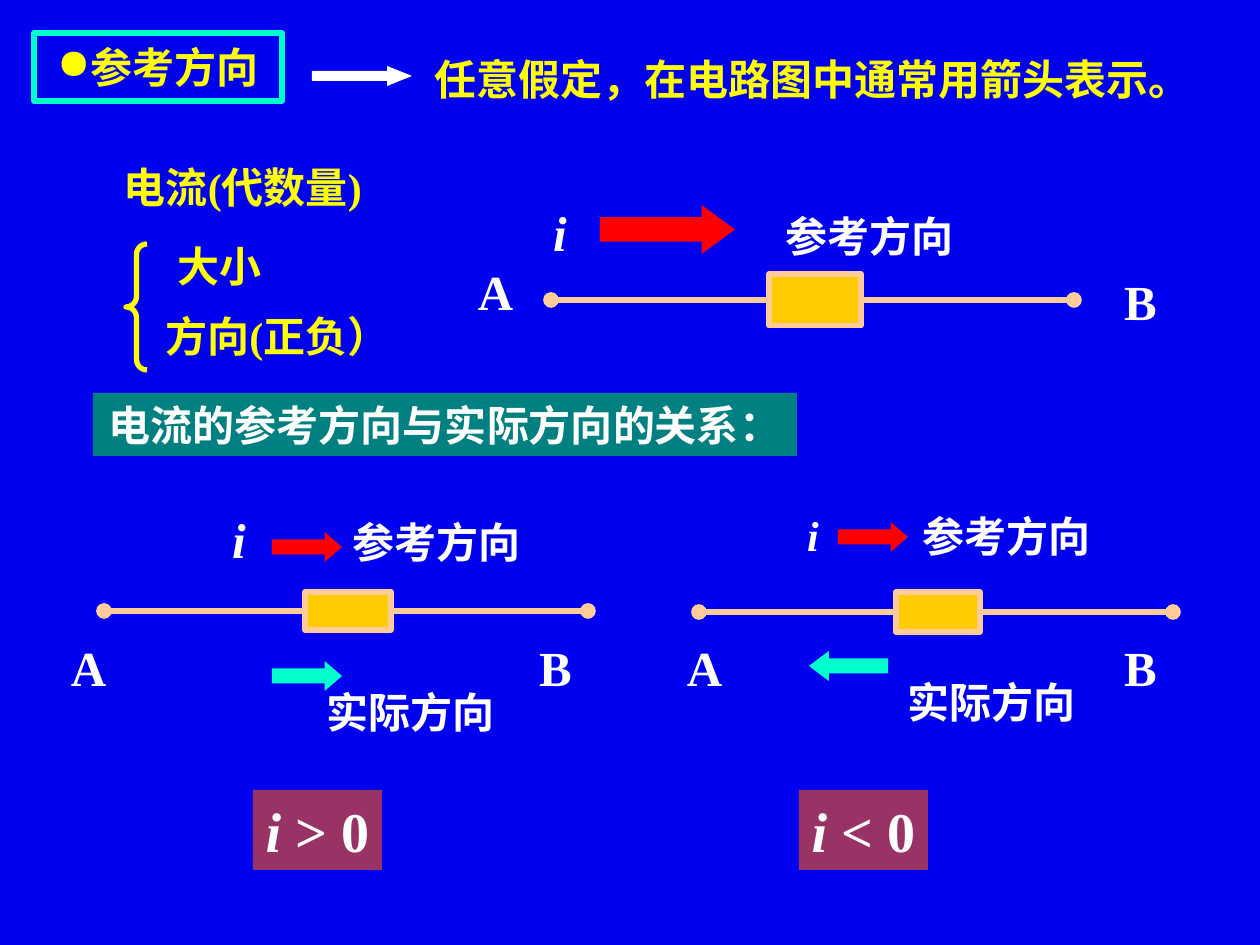
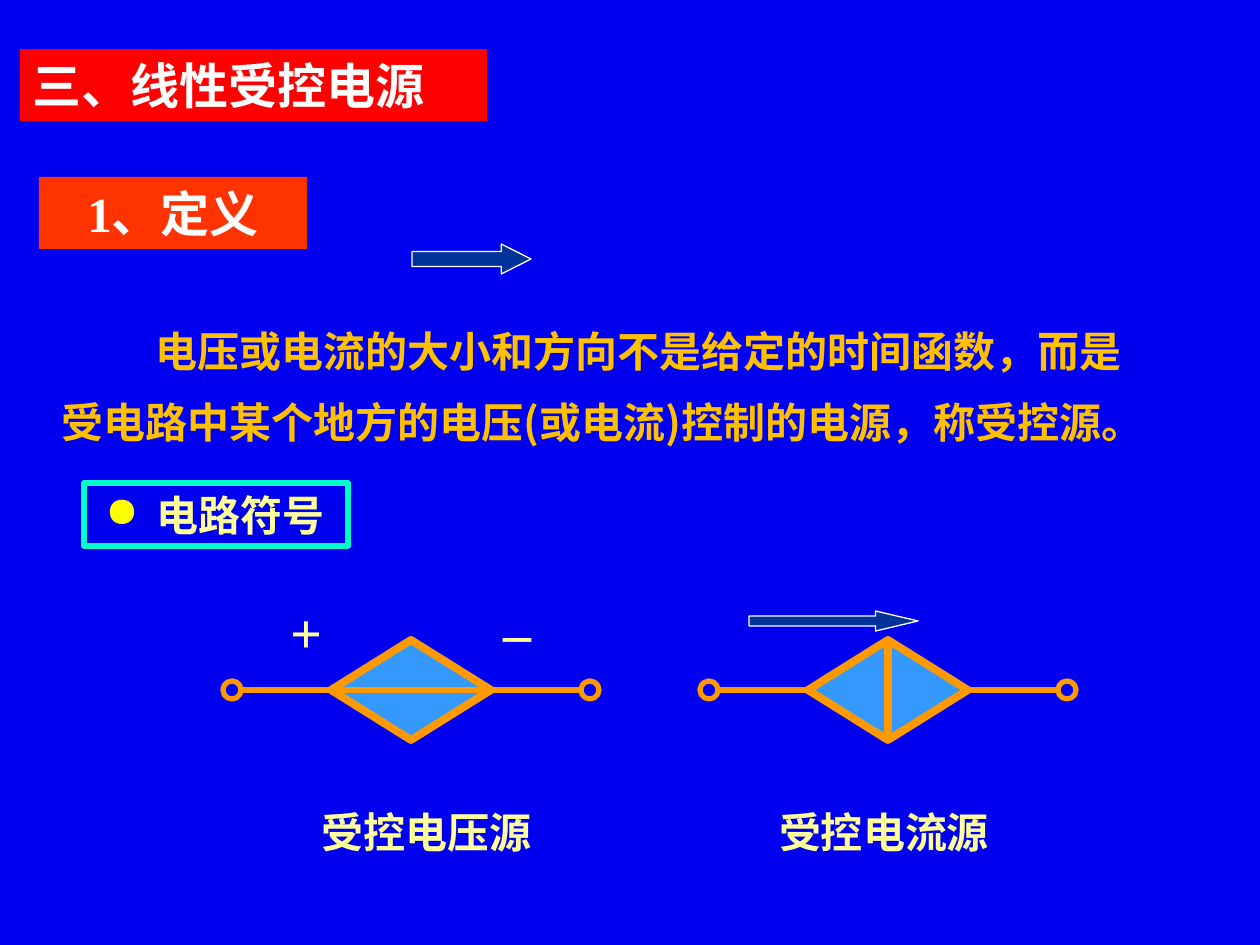
"""Build two slides on current reference directions and controlled sources."""
from dataclasses import dataclass
from typing import NamedTuple

from lxml.etree import SubElement
from pptx import Presentation
from pptx.dml.color import RGBColor
from pptx.enum.shapes import MSO_CONNECTOR as Link, MSO_SHAPE as Form
from pptx.enum.text import MSO_ANCHOR as Anchor, MSO_AUTO_SIZE as AutoSize, PP_ALIGN as Align
from pptx.oxml.ns import qn
from pptx.util import Emu, Pt

EMU_PER_PX = 914400 / 126
LATIN, CJK = "Times New Roman", "Noto Sans CJK SC"
COLORS = {
    "background": "0000F1", "white": "FFFFFF", "yellow": "FFFF00", "cream": "FFFF99",
    "aqua": "00FFCC", "red": "FF0000", "vermilion": "FF3300", "teal": "008080",
    "plum": "993366", "gold": "FFCC00", "peach": "FFCC99", "amber": "FFC000",
    "orange": "FF9900", "sky": "3399FF", "navy": "003399",
}


class Box(NamedTuple):
    """Left, top, width and height in px."""
    x: int
    y: int
    w: int
    h: int


@dataclass(frozen=True)
class Label:
    """A text with its frame; the italic part comes before the upright text."""
    text: str
    box: Box
    size: int = 24
    color: str = "white"
    italic: str = ""
    fill: str | None = None
    border: str | None = None
    align: Align = Align.CENTER
    anchor: Anchor = Anchor.MIDDLE
    wrap: bool = True
    bullet: bool = False
    margin: int = 0
    indent: int = 0
    latin: str = LATIN


@dataclass(frozen=True)
class Arrow:
    """A block arrow with its head length relative to its height."""
    box: Box
    head: float
    fill: str
    form: Form = Form.RIGHT_ARROW
    outline: str | None = None


@dataclass(frozen=True)
class Circuit:
    """A resistor whose leads end in dots at two x positions."""
    resistor: Box
    start_x: int
    end_x: int


def px(length: float) -> Emu:
    """Turn px into EMU."""
    return Emu(round(length * EMU_PER_PX))


def rgb(name: str) -> RGBColor:
    """Look up a colour by name."""
    return RGBColor.from_string(COLORS[name])


def paint(shape, fill: str | None, border: str | None, width: float = 3) -> None:
    """Set or clear the fill and the line of a shape."""
    if fill:
        shape.fill.solid()
        shape.fill.fore_color.rgb = rgb(fill)
    else:
        shape.fill.background()
    if border:
        shape.line.color.rgb = rgb(border)
        shape.line.width = Pt(width)
    else:
        shape.line.fill.background()


def add_form(slide, form: Form, box: Box, fill: str | None = None,
             border: str | None = None, width: float = 3):
    """Draw a preset shape without shadow."""
    shape = slide.shapes.add_shape(form, *map(px, box))
    shape.shadow.inherit = False
    paint(shape, fill, border, width)
    return shape


def add_wire(slide, start: tuple[int, int], end: tuple[int, int], color: str, width: float = 3):
    """Draw a straight connector without shadow."""
    wire = slide.shapes.add_connector(Link.STRAIGHT, *map(px, start + end))
    wire.line.color.rgb = rgb(color)
    wire.line.width = Pt(width)
    SubElement(wire._element.spPr, qn("a:effectLst"))
    return wire


def add_bullet(paragraph) -> None:
    """Give a paragraph a yellow round bullet."""
    properties = paragraph._p.get_or_add_pPr()
    tint = SubElement(properties, qn("a:buClr"))
    SubElement(tint, qn("a:srgbClr")).set("val", COLORS["yellow"])
    SubElement(properties, qn("a:buChar")).set("char", "●")


def format_run(run, label: Label, italic: bool) -> None:
    """Apply the label's font to a run."""
    font = run.font
    font.size, font.bold, font.italic = Pt(label.size), True, italic
    font.color.rgb = rgb(label.color)
    font.name = label.latin
    SubElement(run._r.get_or_add_rPr(), qn("a:ea")).set("typeface", CJK)


def write(shape, label: Label) -> None:
    """Put a label's text into a shape and format it."""
    frame = shape.text_frame
    frame.text = label.italic or label.text
    if label.italic and label.text:
        frame.paragraphs[0].add_run().text = label.text
    frame.word_wrap = label.wrap
    frame.auto_size = AutoSize.NONE
    frame.vertical_anchor = label.anchor
    for index, paragraph in enumerate(frame.paragraphs):
        paragraph.alignment = label.align
        paragraph.space_before = Pt(12 if index else 0)
        if label.margin or label.indent:
            properties = paragraph._p.get_or_add_pPr()
            properties.set("marL", str(px(label.margin)))
            properties.set("indent", str(px(0 if index else label.indent)))
        if label.bullet:
            add_bullet(paragraph)
        for order, run in enumerate(paragraph.runs):
            format_run(run, label, bool(label.italic) and order == 0)


def add_label(slide, label: Label) -> None:
    """Draw a label as a text box, or as a rectangle when it is painted."""
    if label.fill or label.border:
        shape = add_form(slide, Form.RECTANGLE, label.box, label.fill, label.border)
    else:
        shape = slide.shapes.add_textbox(*map(px, label.box))
    write(shape, label)


def add_titled_slide(deck, label: Label):
    """Add a title-only slide and place its title."""
    slide = deck.slides.add_slide(deck.slide_layouts[5])
    title = slide.shapes.title
    title.left, title.top, title.width, title.height = map(px, label.box)
    paint(title, label.fill, label.border)
    write(title, label)
    return slide


def add_arrow(slide, arrow: Arrow) -> None:
    """Draw a block arrow."""
    shape = add_form(slide, arrow.form, arrow.box, arrow.fill, arrow.outline, 0.75)
    shape.adjustments[0], shape.adjustments[1] = 0.5, arrow.head


def add_circuit(slide, circuit: Circuit) -> None:
    """Draw a resistor with a dotted lead on each side."""
    box = circuit.resistor
    resistor = add_form(slide, Form.RECTANGLE, box, "gold", "peach")
    level = box.y + box.h // 2
    for side, edge, terminal in ((1, box.x, circuit.start_x), (3, box.x + box.w, circuit.end_x)):
        lead = add_wire(slide, (edge, level), (terminal, level), "peach")
        lead.begin_connect(resistor, side)
        SubElement(lead.line._get_or_add_ln(), qn("a:tailEnd")).set("type", "oval")


def add_source(slide, center: int, is_voltage: bool) -> None:
    """Draw the diamond symbol of a controlled source."""
    level, reach, ring = 690, 170, 18
    ends = (center - reach, level), (center + reach, level)
    diamond_box = Box(center - 80, level - 50, 160, 100)
    if is_voltage:
        add_form(slide, Form.DIAMOND, diamond_box, "sky", "orange", 4.5)
        add_wire(slide, *ends, "orange")
    else:
        add_wire(slide, *ends, "orange")
        diamond = add_form(slide, Form.DIAMOND, diamond_box, "sky", "orange", 4.5)
        bar = add_wire(slide, (center, level - 50), (center, level + 50), "orange", 4.5)
        bar.begin_connect(diamond, 0)
        bar.end_connect(diamond, 2)
    for left in (center - reach - ring, center + reach):
        add_form(slide, Form.OVAL, Box(left, level - ring // 2, ring, ring), None, "orange")


def build_reference_direction(deck) -> None:
    """Build the slide on the reference direction of a current."""
    slide = add_titled_slide(deck, Label(
        "参考方向", Box(34, 33, 248, 68), color="yellow", border="aqua", bullet=True))
    brace = add_form(slide, Form.LEFT_BRACE, Box(126, 244, 21, 126), None, "yellow")
    brace.adjustments[0] = brace.adjustments[1] = 0.5
    circuits = (
        Circuit(Box(769, 274, 92, 52), 551, 1074),
        Circuit(Box(305, 592, 86, 38), 104, 588),
        Circuit(Box(896, 592, 84, 40), 699, 1173),
    )
    for circuit in circuits:
        add_circuit(slide, circuit)
    arrows = (
        Arrow(Box(312, 66, 100, 20), 1.24, "white"),
        Arrow(Box(600, 205, 135, 49), 0.68, "red"),
        Arrow(Box(272, 532, 70, 30), 0.58, "red"),
        Arrow(Box(838, 522, 70, 30), 0.58, "red"),
        Arrow(Box(272, 661, 70, 30), 0.58, "aqua"),
        Arrow(Box(809, 651, 79, 30), 0.66, "aqua", Form.LEFT_ARROW),
    )
    for arrow in arrows:
        add_arrow(slide, arrow)
    labels = [
        Label("任意假定，在电路图中通常用箭头表示。", Box(422, 47, 745, 114), color="yellow",
              align=Align.LEFT, anchor=Anchor.TOP),
        Label("电流(代数量)", Box(84, 155, 318, 63), color="yellow"),
        Label("大小", Box(123, 234, 193, 63), color="yellow"),
        Label("方向(正负）", Box(134, 304, 287, 63), color="yellow"),
        Label("电流的参考方向与实际方向的关系：", Box(93, 393, 704, 63), fill="teal", wrap=False),
        Label("实际方向", Box(292, 680, 238, 63)),
        Label("实际方向", Box(868, 670, 248, 63)),
    ]
    labels += [Label("", Box(x, y, 60, h), size, italic="i")
               for x, y, h, size in ((530, 196, 72, 28), (209, 503, 72, 28), (783, 503, 63, 24))]
    labels += [Label("参考方向", Box(x, y, 240, 63)) for x, y in ((750, 204), (317, 510), (887, 504))]
    labels += [Label(node, Box(x, y, 89, 72), 28)
               for node, x, y in (("A", 451, 255), ("B", 1096, 265), ("A", 44, 631),
                                  ("B", 511, 631), ("A", 660, 631), ("B", 1096, 631))]
    labels += [Label(sign, Box(x, 790, 129, 80), 32, italic="i", fill="plum", wrap=False)
               for sign, x in ((" > 0", 253), (" < 0", 799))]
    for label in labels:
        add_label(slide, label)


def build_controlled_sources(deck) -> None:
    """Build the slide on linear controlled sources."""
    slide = add_titled_slide(deck, Label(
        "三、线性受控电源", Box(20, 49, 467, 72), 28, fill="red",
        align=Align.LEFT, anchor=Anchor.TOP))
    definition = ("电压或电流的大小和方向不是给定的时间函数，而是\n"
                  "受电路中某个地方的电压(或电流)控制的电源，称受控源。")
    labels = [
        Label("1、定义", Box(39, 177, 268, 72), 28, fill="vermilion", anchor=Anchor.TOP),
        Label(definition, Box(49, 316, 1180, 140), color="amber", align=Align.LEFT,
              indent=94, latin=CJK),
        Label("电路符号", Box(84, 483, 264, 63), color="cream", border="aqua",
              align=Align.LEFT, bullet=True, margin=60, indent=-51),
    ]
    labels += [Label(sign, Box(x, 591, 92, 81), 32, "cream") for sign, x in (("+", 260), ("–", 471))]
    labels += [Label(name, Box(x, 800, 270, 63), color="cream")
               for name, x in (("受控电压源", 292), ("受控电流源", 749))]
    add_source(slide, 411, is_voltage=True)
    add_source(slide, 888, is_voltage=False)
    add_arrow(slide, Arrow(Box(412, 244, 119, 30), 0.99, "navy", outline="white"))
    add_arrow(slide, Arrow(Box(749, 611, 169, 20), 2.12, "navy", outline="white"))
    for label in labels:
        add_label(slide, label)


def main() -> None:
    """Build and save the deck."""
    deck = Presentation()
    deck.slide_width, deck.slide_height = px(1260), px(945)
    background = deck.slide_master.background.fill
    background.solid()
    background.fore_color.rgb = rgb("background")
    build_reference_direction(deck)
    build_controlled_sources(deck)
    deck.save("out.pptx")


if __name__ == "__main__":
    main()
